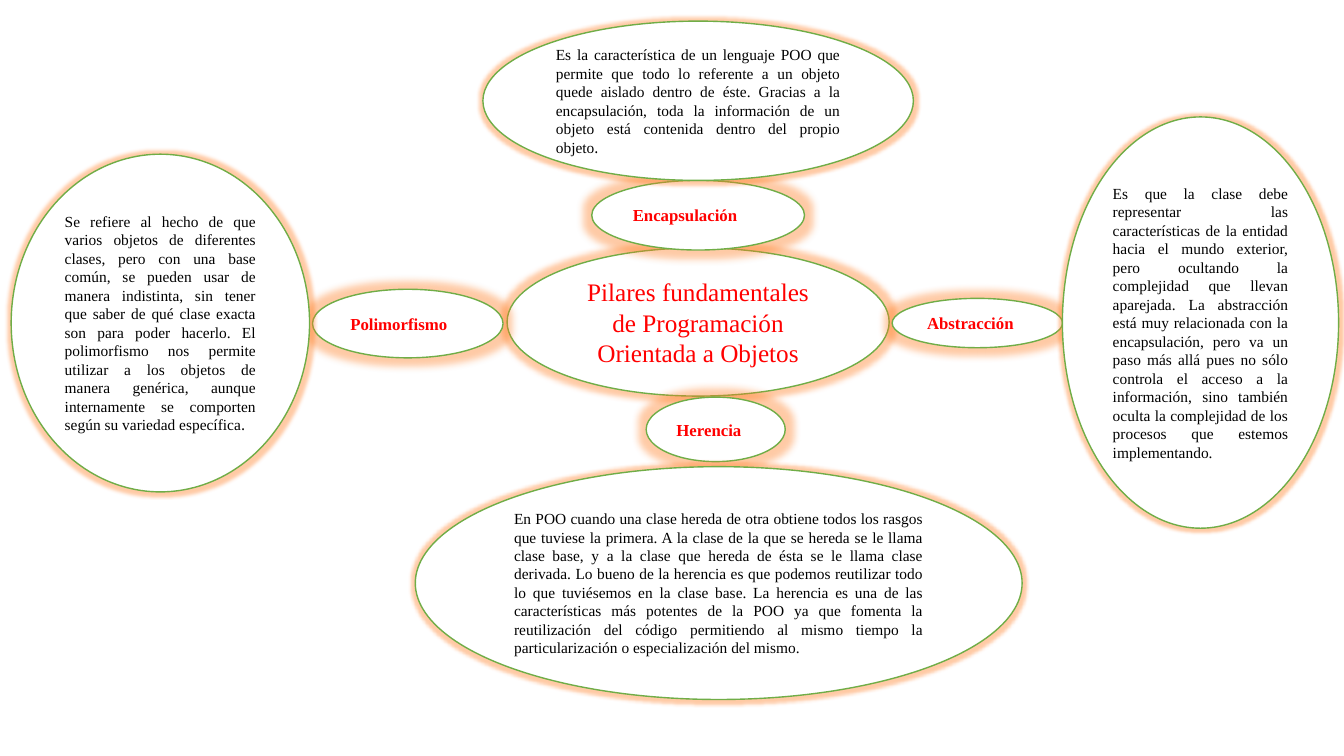
from lxml import etree
from pptx import Presentation
from pptx import util as u
from pptx.dml.color import RGBColor
from pptx.enum import shapes, text
from pptx.oxml.ns import qn

WHITE = RGBColor(0xFF, 0xFF, 0xFF)
GREEN = RGBColor(0x70, 0xAD, 0x47)
RED = RGBColor(0xFF, 0x00, 0x00)
BLACK = RGBColor(0x00, 0x00, 0x00)
GLOW = RGBColor(0xFF, 0x7C, 0x20)

deck = Presentation()
deck.slide_width, deck.slide_height = u.Inches(13.33), u.Inches(7.5)
page = deck.slides.add_slide(deck.slide_layouts[6])
COLUMN = deck.slide_width / 100
ROW = deck.slide_height / 100


def add_glow(oval, radius):
    effects = etree.SubElement(oval._element.spPr, qn("a:effectLst"))
    glow = etree.SubElement(effects, qn("a:glow"), rad=str(u.Pt(radius)))
    color = etree.SubElement(glow, qn("a:srgbClr"), val=str(GLOW))
    etree.SubElement(color, qn("a:alpha"), val="40000")


def add_oval(left, top, width, height, words, size, color, bold, align, radius):
    oval = page.shapes.add_shape(
        shapes.MSO_SHAPE.OVAL,
        round(left * COLUMN), round(top * ROW),
        round(width * COLUMN), round(height * ROW),
    )
    oval.fill.solid()
    oval.fill.fore_color.rgb = WHITE
    oval.line.color.rgb = GREEN
    oval.line.width = u.Pt(1)
    add_glow(oval, radius)
    frame = oval.text_frame
    frame.word_wrap = True
    frame.vertical_anchor = text.MSO_ANCHOR.MIDDLE
    para = frame.paragraphs[0]
    para.text = words
    para.alignment = align
    for span in para.runs:
        span.font.name = "Times New Roman"
        span.font.size = u.Pt(size)
        span.font.bold = bold
        span.font.color.rgb = color
    return para


add_oval(37.73, 32.8, 28.43, 19.6,
         "Pilares fundamentales de Programación Orientada a Objetos",
         18, RED, False, text.PP_ALIGN.CENTER, 8)

pillars = [
    (44.03, 23.87, 15.83, 9.2, "Encapsulación"),
    (48.08, 52.53, 10.35, 8.53, "Herencia"),
    (23.25, 38.27, 14.18, 9.07, "Polimorfismo"),
    (66.38, 39.47, 12.68, 6.53, "Abstracción"),
]
for pillar in pillars:
    add_oval(*pillar, 12, RED, True, text.PP_ALIGN.JUSTIFY, 11)

definitions = [
    (35.93, 2.8, 32.03, 21.07,
     "Es la característica de un lenguaje POO que permite que todo lo referente a un "
     "objeto quede aislado dentro de éste. Gracias a la encapsulación, toda la "
     "información de un objeto está contenida dentro del propio objeto", "Open Sans"),
    (79.05, 15.47, 20.55, 54.4,
     "Es que la clase debe representar las características de la entidad hacia el mundo "
     "exterior, pero ocultando la complejidad que llevan aparejada. La abstracción está "
     "muy relacionada con la encapsulación, pero va un paso más allá pues no sólo "
     "controla el acceso a la información, sino también oculta la complejidad de los "
     "procesos que estemos implementando", "Times New Roman"),
    (30.9, 61.73, 45.15, 30.8,
     "En POO cuando una clase hereda de otra obtiene todos los rasgos que tuviese la "
     "primera. A la clase de la que se hereda se le llama clase base, y a la clase que "
     "hereda de ésta se le llama clase derivada. Lo bueno de la herencia es que podemos "
     "reutilizar todo lo que tuviésemos en la clase base. La herencia es una de las "
     "características más potentes de la POO ya que fomenta la reutilización del código "
     "permitiendo al mismo tiempo la particularización o especialización del mismo",
     "Times New Roman"),
    (0.83, 20.4, 22.2, 44.67,
     "Se refiere al hecho de que varios objetos de diferentes clases, pero con una base "
     "común, se pueden usar de manera indistinta, sin tener que saber de qué clase exacta "
     "son para poder hacerlo. El polimorfismo nos permite utilizar a los objetos de manera "
     "genérica, aunque internamente se comporten según su variedad específica", "Open Sans"),
]
for left, top, width, height, words, stop_font in definitions:
    para = add_oval(left, top, width, height, words,
                    11, BLACK, False, text.PP_ALIGN.JUSTIFY, 5)
    stop = para.add_run()
    stop.text = "."
    stop.font.name = stop_font
    stop.font.size = u.Pt(11)
    stop.font.color.rgb = BLACK

deck.save("out.pptx")
